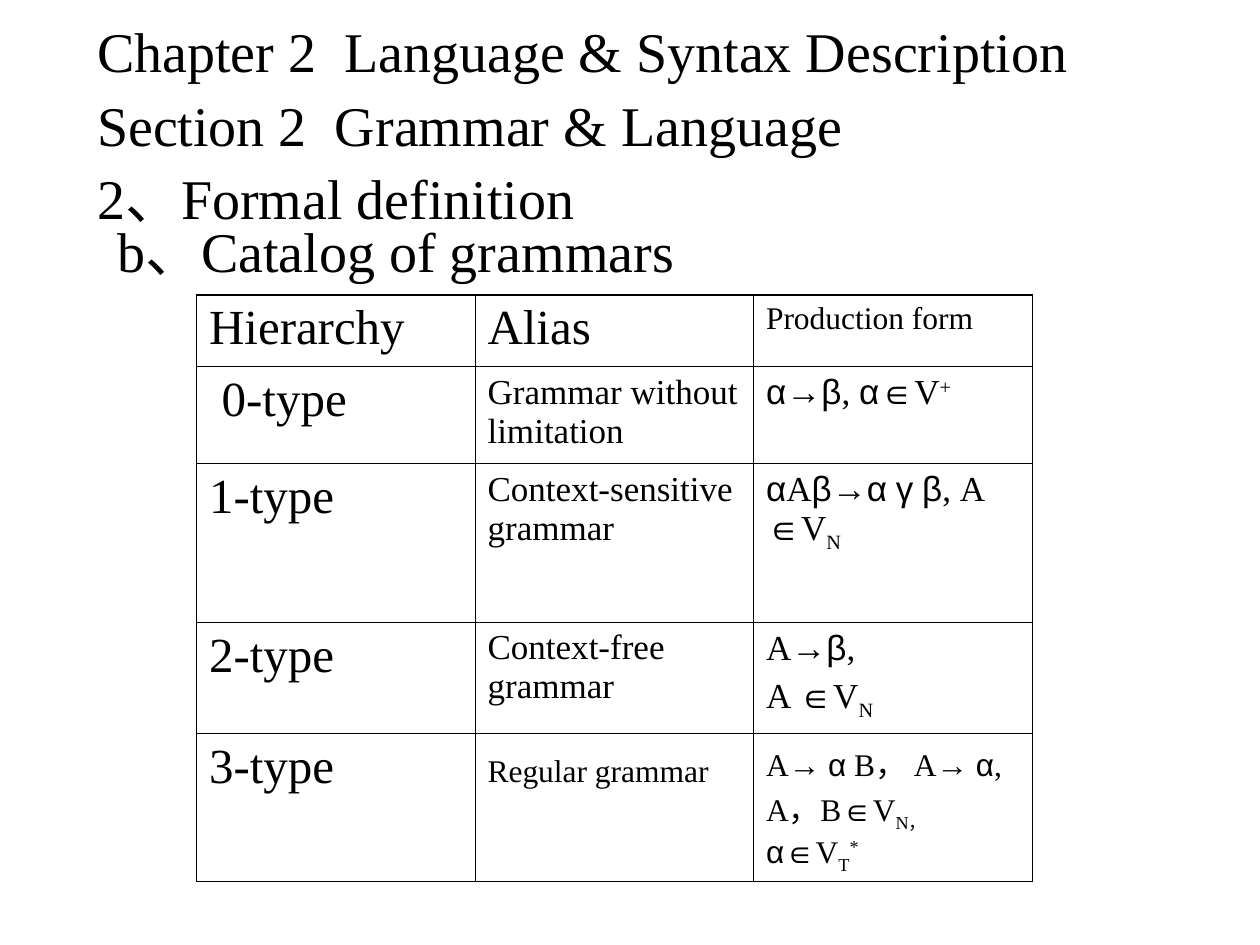
from itertools import groupby

from lxml.etree import SubElement
from pptx import Presentation
from pptx.dml.color import RGBColor
from pptx.enum.text import MSO_ANCHOR, MSO_AUTO_SIZE, PP_ALIGN
from pptx.oxml import parse_xml
from pptx.oxml.ns import nsdecls, qn
from pptx.util import Inches, Pt

BLACK = RGBColor(0, 0, 0)
WHITE = RGBColor(255, 255, 255)
TEXT_FONT, SYMBOL_FONT = "Times New Roman", "Arial"
SYMBOLS = "αβγ→∈"
SUB, SUPER = -25000, 30000
THIN, THICK = 0.45, 1.08


class GrammarSlide:
    def __init__(self, prs):
        self.slide = prs.slides.add_slide(prs.slide_layouts[1])
        self.slide.background.fill.solid()
        self.slide.background.fill.fore_color.rgb = WHITE

    def style(self, paragraph, size):
        paragraph.alignment = PP_ALIGN.LEFT
        paragraph.space_before = Pt(0)
        paragraph.font.name = TEXT_FONT
        paragraph.font.size = Pt(size)
        paragraph.font.color.rgb = BLACK

    def place(self, shape, left, top, width, height, anchor):
        shape.left, shape.top = Inches(left), Inches(top)
        shape.width, shape.height = Inches(width), Inches(height)
        frame = shape.text_frame
        frame.auto_size = MSO_AUTO_SIZE.NONE
        frame.word_wrap = True
        frame.vertical_anchor = anchor
        return frame.paragraphs[0]

    def title(self, lines, size):
        paragraph = self.place(self.slide.shapes.title, 0.67, 0.33, 8.5, 1.25,
                               MSO_ANCHOR.MIDDLE)
        self.style(paragraph, size)
        for number, line in enumerate(lines):
            if number:
                paragraph.add_line_break()
            paragraph.add_run().text = line
        return paragraph

    def body(self, text, size, indent):
        paragraph = self.place(self.slide.placeholders[1], 0.5, 1.67, 9.08, 5.08,
                               MSO_ANCHOR.TOP)
        properties = paragraph._p.get_or_add_pPr()
        properties.set("marL", str(Inches(indent)))
        properties.set("indent", "0")
        SubElement(properties, qn("a:buNone"))
        self.style(paragraph, size)
        paragraph.add_run().text = text

    def formula(self, paragraph, parts):
        """Write (text, baseline) parts, with symbols in their own font."""
        for text, baseline in parts:
            for is_symbol, chars in groupby(text, lambda char: char in SYMBOLS):
                run = paragraph.add_run()
                run.text = "".join(chars)
                if is_symbol:
                    run.font.name = SYMBOL_FONT
                if baseline:
                    run.font._element.set("baseline", str(baseline))

    def borders(self, cell, widths):
        properties = cell._tc.get_or_add_tcPr()
        for position, (side, width) in enumerate(zip("LRTB", widths)):
            properties.insert(position, parse_xml(
                f'<a:ln{side} {nsdecls("a")} w="{Pt(width)}"><a:solidFill>'
                f'<a:srgbClr val="{BLACK}"/></a:solidFill></a:ln{side}>'))

    def cell(self, cell, size, paragraphs):
        cell.fill.background()
        frame = cell.text_frame
        for number, parts in enumerate(paragraphs):
            paragraph = frame.add_paragraph() if number else frame.paragraphs[0]
            self.style(paragraph, size)
            if number:
                paragraph.space_before = Pt(size / 4)
            self.formula(paragraph, parts)

    def table(self, rows, heights, column_width):
        columns = len(rows[0])
        table = self.slide.shapes.add_table(
            len(rows), columns, Inches(1.56), Inches(2.34),
            Inches(column_width * columns), Inches(sum(heights))).table
        table.first_row = table.horz_banding = False
        for column in table.columns:
            column.width = Inches(column_width)
        for r, (row, height) in enumerate(zip(rows, heights)):
            table.rows[r].height = Inches(height)
            for c, (size, paragraphs) in enumerate(row):
                cell = table.cell(r, c)
                self.cell(cell, size, paragraphs)
                self.borders(cell, (THIN if c else THICK, THIN,
                                    THIN if r else THICK,
                                    THICK if r == len(rows) - 1 else THIN))
        return table


def plain(size, text):
    return size, [[(text, 0)]]


# Each cell is (size, paragraphs), each paragraph a list of (text, baseline)
GRAMMARS = [
    [plain(28, "Hierarchy"), plain(28, "Alias"), plain(18, "Production form")],
    [plain(28, "0-type"), plain(20, "Grammar without limitation"),
     (20, [[("α→β, α∈V", 0), ("+", SUPER)]])],
    [plain(28, "1-type"), plain(20, "Context-sensitive grammar"),
     (20, [[("αAβ→α γ β, A ∈V", 0), ("N", SUB)]])],
    [plain(28, "2-type"), plain(20, "Context-free grammar"),
     (20, [[("A→β,", 0)], [("A ∈V", 0), ("N", SUB)]])],
    [plain(28, "3-type"), plain(18, "Regular grammar"),
     (18, [[("A→ α B， A→ α, A，B∈V", 0), ("N，", SUB),
            ("α∈V", 0), ("T", SUB), ("*", SUPER)]])],
]


def main():
    prs = Presentation()
    prs.slide_width, prs.slide_height = Inches(10), Inches(7.5)
    page = GrammarSlide(prs)

    # Headings
    heading = page.title(["Chapter 2  Language & Syntax Description",
                          "Section 2  Grammar & Language",
                          "2、Formal definition"], 32)
    heading.line_spacing = 1.1
    page.body("b、Catalog of grammars", 32, 0.33)

    # Grammar hierarchy
    hierarchy = page.table(GRAMMARS, [0.57, 0.77, 1.26, 0.88, 1.08], 2.21)
    hierarchy.cell(1, 0).margin_left = Inches(0.2)
    hierarchy.cell(4, 1).margin_top = Inches(0.17)

    prs.save("out.pptx")


if __name__ == "__main__":
    main()
